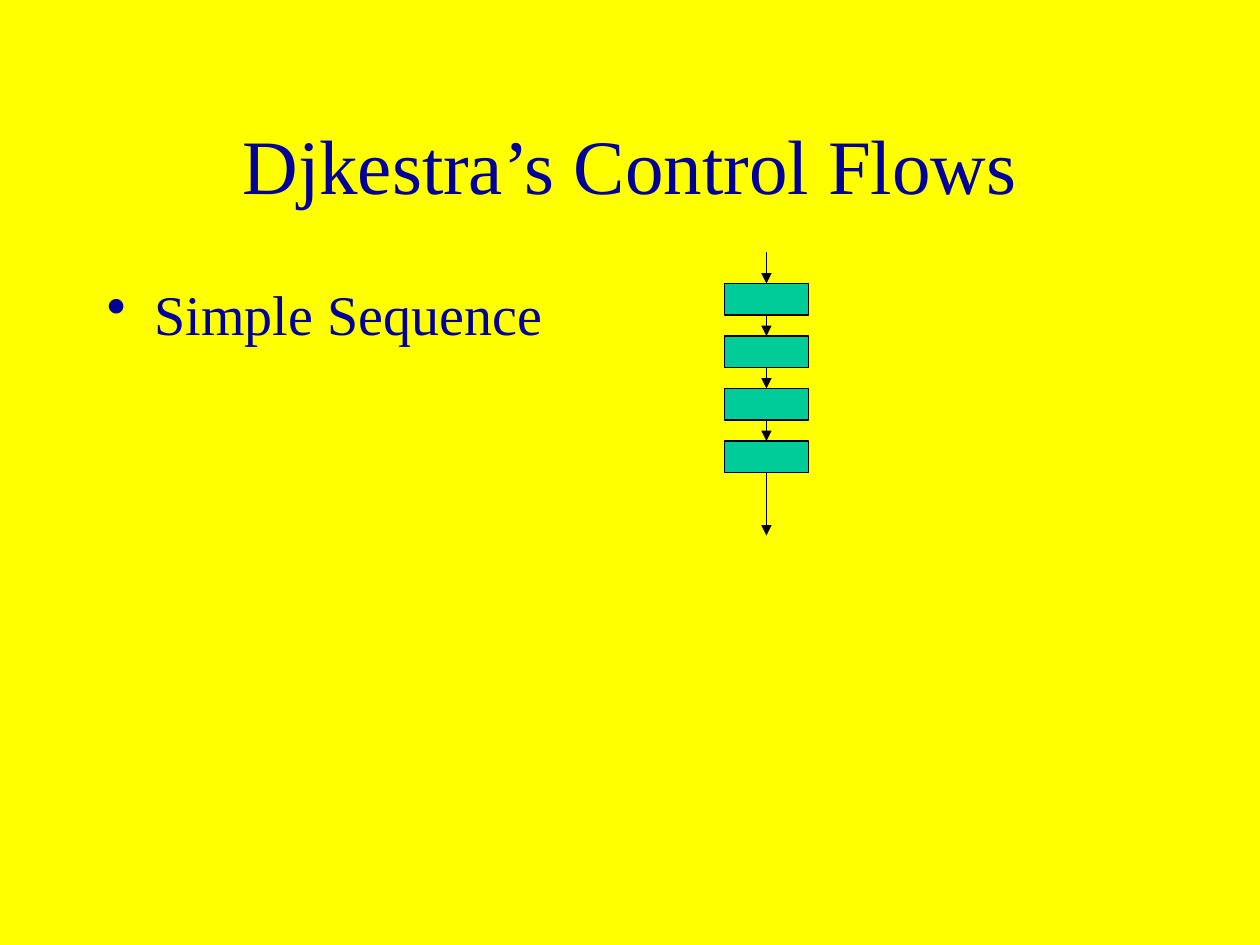
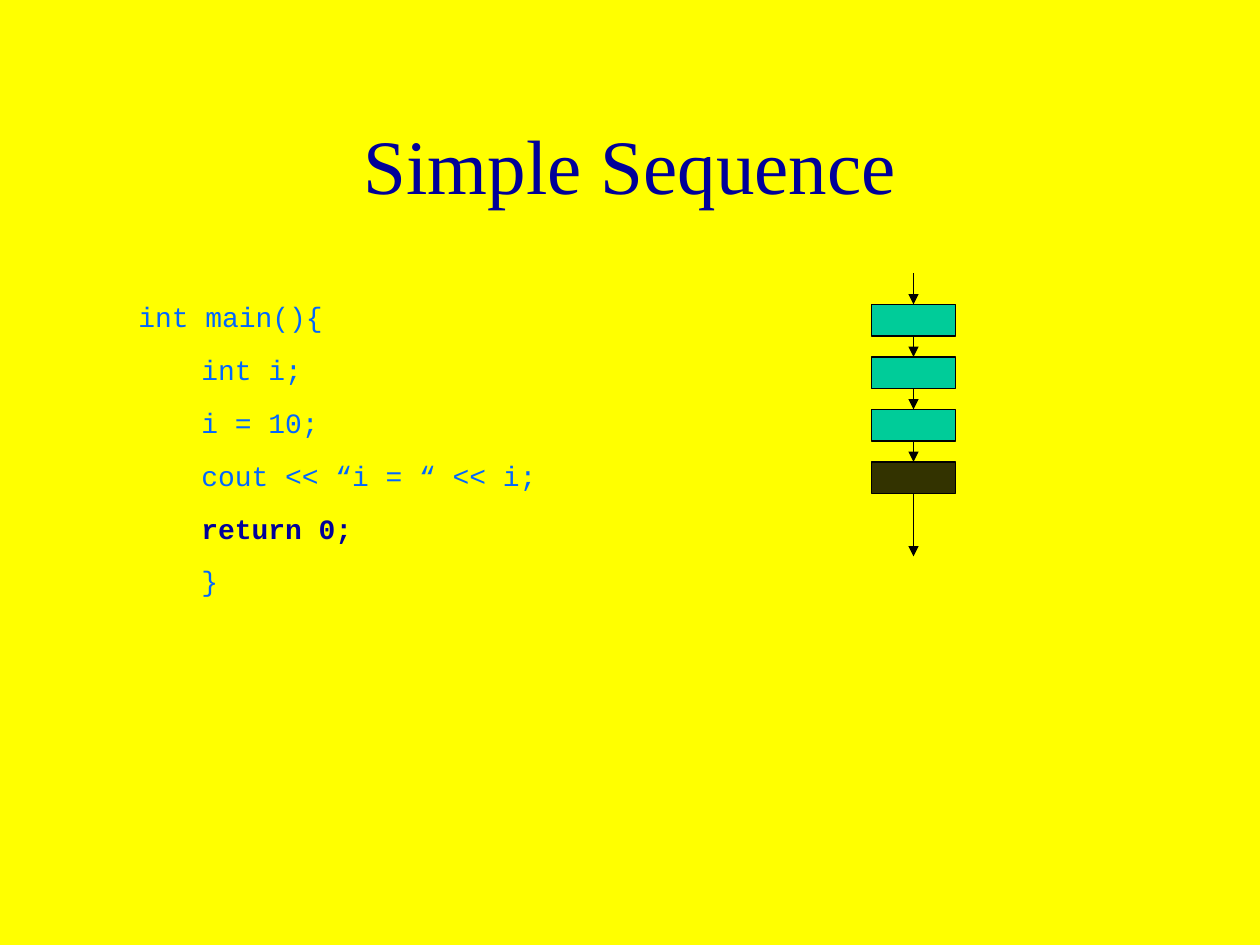
from pptx import Presentation
from pptx.dml.color import RGBColor
from pptx.enum.shapes import MSO_CONNECTOR, MSO_SHAPE
from pptx.enum.text import MSO_ANCHOR, PP_ALIGN
from pptx.oxml.ns import qn
from pptx.util import Inches, Pt
from lxml import etree

STRAIGHT = MSO_CONNECTOR.STRAIGHT
PROCESS = MSO_SHAPE.FLOWCHART_PROCESS
TOP, MIDDLE = MSO_ANCHOR.TOP, MSO_ANCHOR.MIDDLE
LEFT, CENTER = PP_ALIGN.LEFT, PP_ALIGN.CENTER

YELLOW = RGBColor(0xFF, 0xFF, 0x00)
NAVY = RGBColor(0x00, 0x00, 0x99)
BLUE = RGBColor(0x00, 0x66, 0xFF)
GREEN = RGBColor(0x00, 0xCC, 0x99)
OLIVE = RGBColor(0x33, 0x33, 0x00)
BLACK = RGBColor(0x00, 0x00, 0x00)
SERIF, MONO = "Times New Roman", "Courier New"

# Content: code lines are (text, indent in inches, bold)
POINTS = ["Simple Sequence"]
CODE = [
    ("int main(){", 0, False),
    ("int i;", 0.5, False),
    ("i = 10;", 0.5, False),
    ("cout << “i = “ << i;", 0.5, False),
    ("return 0;", 0.5, True),
    ("}", 0.5, False),
]
SLIDES = [
    {"title": "Djkestra’s Control Flows", "points": POINTS,
     "flow": (69, 27, [GREEN] * 4)},
    {"title": "Simple Sequence", "code": CODE,
     "flow": (83, 29, [GREEN] * 3 + [OLIVE])},
]

# Flow grid: twelve cells to the inch
CELL = Inches(1) // 12
WIDE, HIGH, PITCH = 8, 3, 5
LEAD, EXIT = 3, 6


def add_text(slide, box, lines, anchor=TOP):
    shape = slide.shapes.add_textbox(*[Inches(n) for n in box])
    frame = shape.text_frame
    frame.word_wrap = True
    frame.vertical_anchor = anchor
    frame.text = "\n".join(lines)
    return frame.paragraphs


def style(para, font, size, color, bold=False, align=LEFT, before=0):
    para.alignment = align
    para.space_before = Pt(before)
    for run in para.runs:
        run.font.name = font
        run.font.size = Pt(size)
        run.font.bold = bold
        run.font.color.rgb = color


def indent(para, left, hang=0):
    props = para._p.get_or_add_pPr()
    props.set("marL", str(Inches(left)))
    props.set("indent", str(Inches(-hang)))
    return props


def add_title(slide, text):
    for para in add_text(slide, (0.75, 0.67, 8.5, 1.25), [text], MIDDLE):
        style(para, SERIF, 44, NAVY, align=CENTER)


def add_points(slide, points):
    for para in add_text(slide, (0.75, 2.17, 8.5, 4.5), points):
        style(para, SERIF, 32, NAVY, before=8)
        props = indent(para, 0.38, 0.38)
        etree.SubElement(props, qn("a:buChar")).set("char", "•")


def add_code(slide, code):
    paras = add_text(slide, (1, 2.33, 4.83, 2.8), [line[0] for line in code])
    for para, (_, left, bold) in zip(paras, code):
        style(para, MONO, 16, NAVY if bold else BLUE, bold, before=11)
        indent(para, left)


def add_box(slide, col, row, color):
    box = slide.shapes.add_shape(
        PROCESS, col * CELL, row * CELL, WIDE * CELL, HIGH * CELL)
    box.shadow.inherit = False
    box.fill.solid()
    box.fill.fore_color.rgb = color
    box.line.color.rgb = BLACK
    box.line.width = Pt(0.75)
    return box


def add_arrow(slide, mid, start, end, above, below):
    arrow = slide.shapes.add_connector(
        STRAIGHT, mid * CELL, start * CELL, mid * CELL, end * CELL)
    if above:
        arrow.begin_connect(above, 2)
    if below:
        arrow.end_connect(below, 0)
    arrow.line.color.rgb = BLACK
    arrow.line.width = Pt(0.75)
    etree.SubElement(arrow.line._get_or_add_ln(), qn("a:tailEnd")).set(
        "type", "triangle")
    etree.SubElement(arrow._element.spPr, qn("a:effectLst"))


def add_flow(slide, col, row, colors):
    rows = [row + i * PITCH for i in range(len(colors))]
    boxes = [add_box(slide, col, y, c) for y, c in zip(rows, colors)]
    # One arrow into each box, and one out of the last
    starts = [row - LEAD] + [y + HIGH for y in rows]
    ends = rows + [rows[-1] + HIGH + EXIT]
    for ends_at in zip(starts, ends, [None] + boxes, boxes + [None]):
        add_arrow(slide, col + WIDE // 2, *ends_at)


def main():
    deck = Presentation()
    deck.slide_width, deck.slide_height = Inches(10), Inches(7.5)
    for page in SLIDES:
        slide = deck.slides.add_slide(deck.slide_layouts[6])
        slide.background.fill.solid()
        slide.background.fill.fore_color.rgb = YELLOW
        add_title(slide, page["title"])
        if "points" in page:
            add_points(slide, page["points"])
        add_flow(slide, *page["flow"])
        if "code" in page:
            add_code(slide, page["code"])
    deck.save("out.pptx")


if __name__ == "__main__":
    main()
